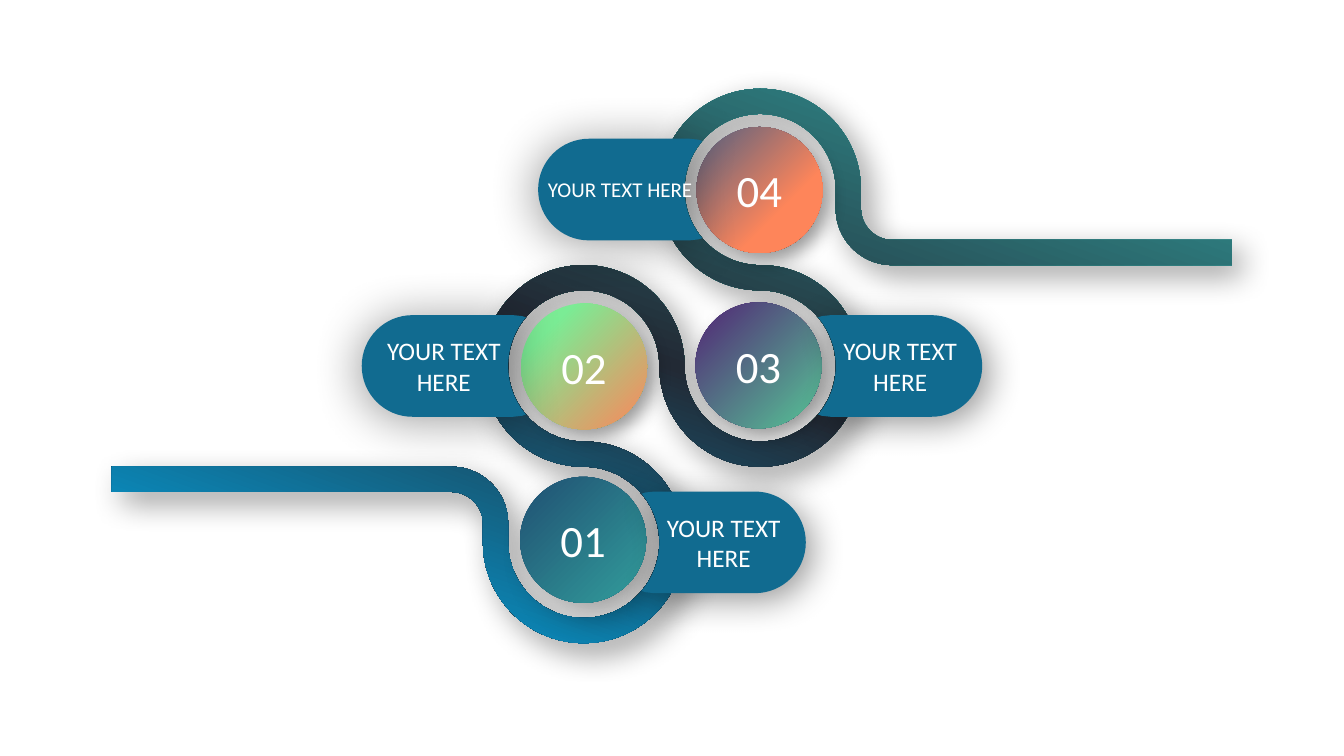
from math import ceil, cos, radians, sin, tan

from lxml.etree import SubElement
from pptx import Presentation
from pptx.dml.color import RGBColor
from pptx.enum.shapes import MSO_SHAPE as Preset
from pptx.enum.text import MSO_ANCHOR as Anchor, PP_ALIGN as Align
from pptx.oxml import parse_xml
from pptx.oxml.ns import nsdecls, qn
from pptx.util import Pt


def arc(centre_x, centre_y, radius, start, end):
    pieces = ceil(abs(end - start) / 90)
    sweep = radians(end - start) / pieces
    pull = 4 / 3 * tan(sweep / 4)
    first = radians(start)
    spots = [(1, 0)] * 3
    curve = [(cos(first), sin(first))] * 3
    for i in range(pieces):
        a, b = first + i * sweep, first + (i + 1) * sweep
        curve += [(cos(a) - pull * sin(a), sin(a) + pull * cos(a)),
                  (cos(b) + pull * sin(b), sin(b) - pull * cos(b)),
                  (cos(b), sin(b))]
    return [(centre_x + radius * x, centre_y + radius * y) for x, y in curve]


def style(shape, stops, direction, shadow):
    shape.line.fill.background()
    shape.shadow.inherit = False
    properties = shape.element.spPr
    if direction:
        shape.fill.gradient()
        stop_list = "".join(
            f'<a:gs pos="{position * 1000}"><a:srgbClr val="{colour}"/></a:gs>'
            for position, colour in stops
        )
        gradient = parse_xml(
            f'<a:gradFill {nsdecls("a")} rotWithShape="1">'
            f"<a:gsLst>{stop_list}</a:gsLst>{direction}</a:gradFill>"
        )
        properties.replace(properties.find(qn("a:gradFill")), gradient)
    else:
        shape.fill.solid()
        shape.fill.fore_color.rgb = RGBColor.from_string(stops)
    blur, distance, angle = shadow
    values = {"blurRad": Pt(blur), "dist": Pt(distance), "dir": angle * 60000,
              "algn": "ctr", "rotWithShape": 0}
    outer = SubElement(properties.find(qn("a:effectLst")), qn("a:outerShdw"))
    for key, value in values.items():
        outer.set(key, str(value))
    colour = SubElement(outer, qn("a:srgbClr"), val="000000")
    SubElement(colour, qn("a:alpha"), val="40000")


deck = Presentation()
deck.slide_width, deck.slide_height = Pt(960), Pt(540)
slide = deck.slides.add_slide(deck.slide_layouts[6])
shapes = slide.shapes

PITCH, LOOP, BEND, HALF = 126, 63, 31.5, 9
LEFT, TOP = 417, 135.4
RIGHT, MIDDLE, BOTTOM = LEFT + PITCH, TOP + PITCH, TOP + 2 * PITCH
LINEAR = '<a:lin ang="6600000" scaled="0"/>'
RADIAL = '<a:path path="circle"><a:fillToRect l="100000" t="100000"/></a:path>'

bends = [
    (LEFT - LOOP - BEND, BOTTOM - 13.5, BEND, -90, 0),
    (LEFT, BOTTOM, LOOP, 180, -90),
    (LEFT, MIDDLE, LOOP, 90, 360),
    (RIGHT, MIDDLE, LOOP, 180, -90),
    (RIGHT, TOP, LOOP, 90, 360),
    (RIGHT + LOOP + BEND, TOP + 13.5, BEND, 180, 90),
]
edges = []
for side in (HALF, -HALF):
    edge = [(80, BOTTOM - 13.5 - BEND - side)]
    for x, y, radius, start, end in bends:
        turn = 1 if end > start else -1
        edge += arc(x, y, radius + side * turn, start, end)
    edge += [(880, TOP + 13.5 + BEND - side)] * 3
    edges.append(edge)
upper, lower = edges
ribbon_outline = upper + [lower[-1]] * 2 + lower[::-1]

pill_outline = (
    [(50.4, -36.3)]
    + arc(122.3, 0, 36.3, -90, 90)
    + [(50.4, 36.3)] * 3
    + [(44, 35.6)] * 3
    + arc(0, 0, 54, 40, -40)
    + [(44, -35.6)] * 3
)

outlines = {"ribbon": ribbon_outline}
steps = [
    ("03", RIGHT, MIDDLE, 1, (496.8, 216), [(0, "56C596"), (100, "512575")], (13, 7, 45), 18),
    ("02", LEFT, MIDDLE, -1, (372.2, 216.7), [(0, "FE855A"), (79, "7BEC95")], (13, 7, 45), 18),
    ("04", RIGHT, TOP, -1, (497.5, 90.7), [(33, "FE855A"), (100, "536081")], (13, 7, 45), 15),
    ("01", LEFT, BOTTOM, 1, (371.5, 340.6), [(0, "329D9C"), (100, "205072")], (23, 11, 45), 18),
]
for number, x, y, side, *rest in steps:
    outlines[number] = [(x + side * dx, y + dy) for dx, dy in pill_outline]

badges = {}
freeforms = {}
for name, outline in outlines.items():
    for number, x, y, side, corner, *rest in steps:
        if number == name:
            badges[name] = shapes.add_shape(Preset.OVAL, Pt(corner[0]), Pt(corner[1]), Pt(90), Pt(90))
    points = [(Pt(x), Pt(y)) for x, y in outline]
    builder = shapes.build_freeform(*points[0])
    builder.add_line_segments(points[1:], close=True)
    freeforms[name] = builder.convert_to_shape()
    segments = list(freeforms[name].element.iter(qn("a:lnTo")))
    for i in range(0, len(segments) - 2, 3):
        curve = parse_xml(f'<a:cubicBezTo {nsdecls("a")}/>')
        segments[i].addprevious(curve)
        for segment in segments[i:i + 3]:
            curve.append(segment[0])
            segment.getparent().remove(segment)

style(freeforms["ribbon"], [(0, "329D9C"), (50, "222A35"), (100, "00B0F0")], LINEAR, (23, 11, 45))

for number, x, y, side, corner, stops, shadow, label_size in steps:
    badge, pill = badges[number], freeforms[number]
    style(badge, stops, RADIAL, shadow)
    style(pill, "116B90", None, (25, 7, 45) if side > 0 else (36, 3, 135))
    for shape, text, size in ((badge, number, 32), (pill, "YOUR TEXT HERE", label_size)):
        frame = shape.text_frame
        frame_format = {"word_wrap": True, "vertical_anchor": Anchor.MIDDLE,
                        "margin_left": Pt(5), "margin_right": Pt(5)}
        for key, value in frame_format.items():
            setattr(frame, key, value)
        para = frame.paragraphs[0]
        para.alignment = Align.CENTER
        span = para.add_run()
        span.text = text
        for key, value in {"name": "Calibri", "size": Pt(size)}.items():
            setattr(span.font, key, value)
        span.font.color.rgb = RGBColor.from_string("FFFFFF")

deck.save("out.pptx")
